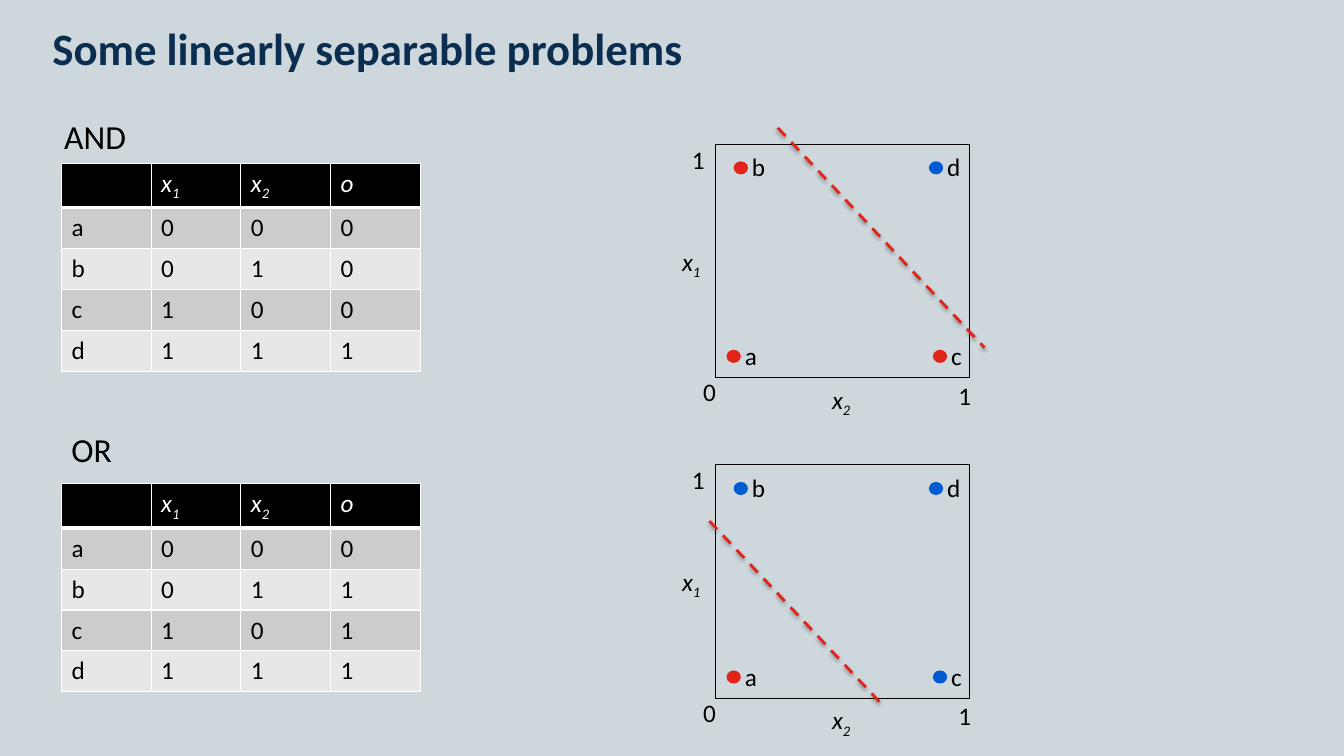
"""Build a slide of the AND and OR truth tables beside their separating lines."""
from lxml.etree import SubElement
from pptx import Presentation
from pptx.dml.color import RGBColor
from pptx.enum.dml import MSO_LINE_DASH_STYLE as Dash
from pptx.enum.shapes import MSO_CONNECTOR as Connector, MSO_SHAPE as Shape
from pptx.enum.text import MSO_ANCHOR as Anchor, MSO_AUTO_SIZE as AutoSize, PP_ALIGN as Align
from pptx.oxml.ns import qn
from pptx.util import Cm, Pt

TITLE = "Some linearly separable problems"
HEADER = ["", "x_1", "x_2", "o"]
INPUTS = {"a": (0, 0), "b": (0, 1), "c": (1, 0), "d": (1, 1)}
PROBLEMS = [
    {"name": "AND", "top": 3.63, "caption": (1.37, -0.84), "outputs": (0, 0, 0, 1),
     "separator": (1.57, -0.41, 6.78, 5.13)},
    {"name": "OR", "top": 11.71, "caption": (1.55, -1.02), "outputs": (0, 1, 1, 1),
     "separator": (-0.15, 1.42, 4.27, 6.12)},
]
POINTS = {"a": (0.46, 5.35), "b": (0.64, 0.6), "c": (5.66, 5.35), "d": (5.56, 0.6)}
AXIS_LABELS = [("x_2", 2.69, 5.92), ("x_1", -1.09, 2.44), ("0", -0.56, 5.74),
               ("1", 5.87, 5.82), ("1", -0.84, -0.13)]

PLOT_LEFT, PLOT_WIDTH, PLOT_HEIGHT = 18.03, 6.4, 5.89
DOT_WIDTH, DOT_HEIGHT = 0.36, 0.33
TABLE_LEFT, TABLE_OFFSET, COLUMN_WIDTH, ROW_HEIGHT = 1.55, 0.48, 2.26, 1.03
BLACK, WHITE, NAVY, BACKGROUND = "000000", "FFFFFF", "0A2D50", "CDD7DC"
CLASS_COLORS = ["E2231A", "005AD2"]
BANDS = ["CCCCCC", "E7E7E7"]


def paint(fill, color):
    fill.solid()
    fill.fore_color.rgb = RGBColor.from_string(color)


def write(frame, text, size=18, color=BLACK, bold=False):
    """Write text in a frame, lowering whatever follows an underscore."""
    paragraph = frame.paragraphs[0]
    paragraph.alignment = Align.LEFT
    for index, part in enumerate(text.split("_")):
        run = paragraph.add_run()
        run.text = part
        run.font.name, run.font.size = "Calibri", Pt(size)
        run.font.bold, run.font.italic = bold, text[:1] in ("x", "o")
        run.font.color.rgb = RGBColor.from_string(color)
        if index:
            run._r.get_or_add_rPr().set("baseline", "-25000")


def add_label(slide, text, left, top, width, **text_format):
    box = slide.shapes.add_textbox(Cm(left), Cm(top), Cm(width), Cm(1.02))
    box.text_frame.word_wrap = False
    box.text_frame.auto_size = AutoSize.SHAPE_TO_FIT_TEXT
    write(box.text_frame, text, **text_format)


def add_border(cell, side, points):
    line = SubElement(cell._tc.get_or_add_tcPr(), qn(f"a:ln{side}"), w=str(Pt(points)))
    SubElement(SubElement(line, qn("a:solidFill")), qn("a:srgbClr"), val=WHITE)


def add_truth_table(slide, problem):
    rows = [HEADER] + [[name, *map(str, values), str(output)]
                       for (name, values), output in zip(INPUTS.items(), problem["outputs"])]
    table = slide.shapes.add_table(
        len(rows), len(HEADER), Cm(TABLE_LEFT), Cm(problem["top"] + TABLE_OFFSET),
        Cm(COLUMN_WIDTH * len(HEADER)), Cm(ROW_HEIGHT * len(rows))).table
    for row_index, row in enumerate(rows):
        for column_index, text in enumerate(row):
            cell = table.cell(row_index, column_index)
            for side in "LRTB":
                heavy = (row_index, side) in ((0, "B"), (1, "T"))
                add_border(cell, side, 3 if heavy else 1)
            paint(cell.fill, BANDS[(row_index - 1) % 2] if row_index else BLACK)
            if text:
                write(cell.text_frame, text, color=BLACK if row_index else WHITE)


def add_plain_shape(slide, kind, left, top, width, height):
    shape = slide.shapes.add_shape(kind, Cm(left), Cm(top), Cm(width), Cm(height))
    shape.shadow.inherit = False
    return shape


def add_separator(slide, left, top, ends):
    x1, y1, x2, y2 = ends
    line = slide.shapes.add_connector(
        Connector.STRAIGHT, Cm(left + x1), Cm(top + y1), Cm(left + x2), Cm(top + y2))
    paint(line.line.fill, CLASS_COLORS[0])
    line.line.width, line.line.dash_style = Pt(2), Dash.DASH
    effects = SubElement(line._element.spPr, qn("a:effectLst"))
    shadow = SubElement(effects, qn("a:outerShdw"), blurRad="40000", dist="20000",
                        dir="5400000", rotWithShape="0")
    color = SubElement(shadow, qn("a:srgbClr"), val=BLACK)
    SubElement(color, qn("a:alpha"), val="38000")


def add_plot(slide, problem):
    top = problem["top"]
    frame = add_plain_shape(slide, Shape.RECTANGLE, PLOT_LEFT, top, PLOT_WIDTH, PLOT_HEIGHT)
    frame.fill.background()
    paint(frame.line.fill, BLACK)
    frame.line.width = Pt(0.75)
    for name, output in zip(INPUTS, problem["outputs"]):
        x, y = PLOT_LEFT + POINTS[name][0], top + POINTS[name][1]
        dot = add_plain_shape(slide, Shape.OVAL, x - DOT_WIDTH / 2, y - DOT_HEIGHT / 2,
                              DOT_WIDTH, DOT_HEIGHT)
        paint(dot.fill, CLASS_COLORS[output])
        dot.line.fill.background()
        add_label(slide, name, x + 0.03, y - 0.53, 0.82)
    for text, x, y in AXIS_LABELS:
        add_label(slide, text, PLOT_LEFT + x, top + y, 1.02 if "_" in text else 0.71)
    add_separator(slide, PLOT_LEFT, top, problem["separator"])


def main():
    presentation = Presentation()
    presentation.slide_width, presentation.slide_height = Cm(33.87), Cm(19.05)
    slide = presentation.slides.add_slide(presentation.slide_layouts[5])
    paint(slide.background.fill, BACKGROUND)

    title = slide.shapes.title
    title.left, title.top, title.width, title.height = Cm(1.32), Cm(0.51), Cm(31.2), Cm(2)
    frame = title.text_frame
    frame.margin_left = frame.margin_top = frame.margin_right = frame.margin_bottom = 0
    frame.vertical_anchor = Anchor.TOP
    write(frame, TITLE, size=32, color=NAVY, bold=True)

    for problem in PROBLEMS:
        left, offset = problem["caption"]
        add_label(slide, problem["name"], left, problem["top"] + offset,
                  0.5 + 0.53 * len(problem["name"]), size=24)
        add_truth_table(slide, problem)
        add_plot(slide, problem)
    presentation.save("out.pptx")


if __name__ == "__main__":
    main()
